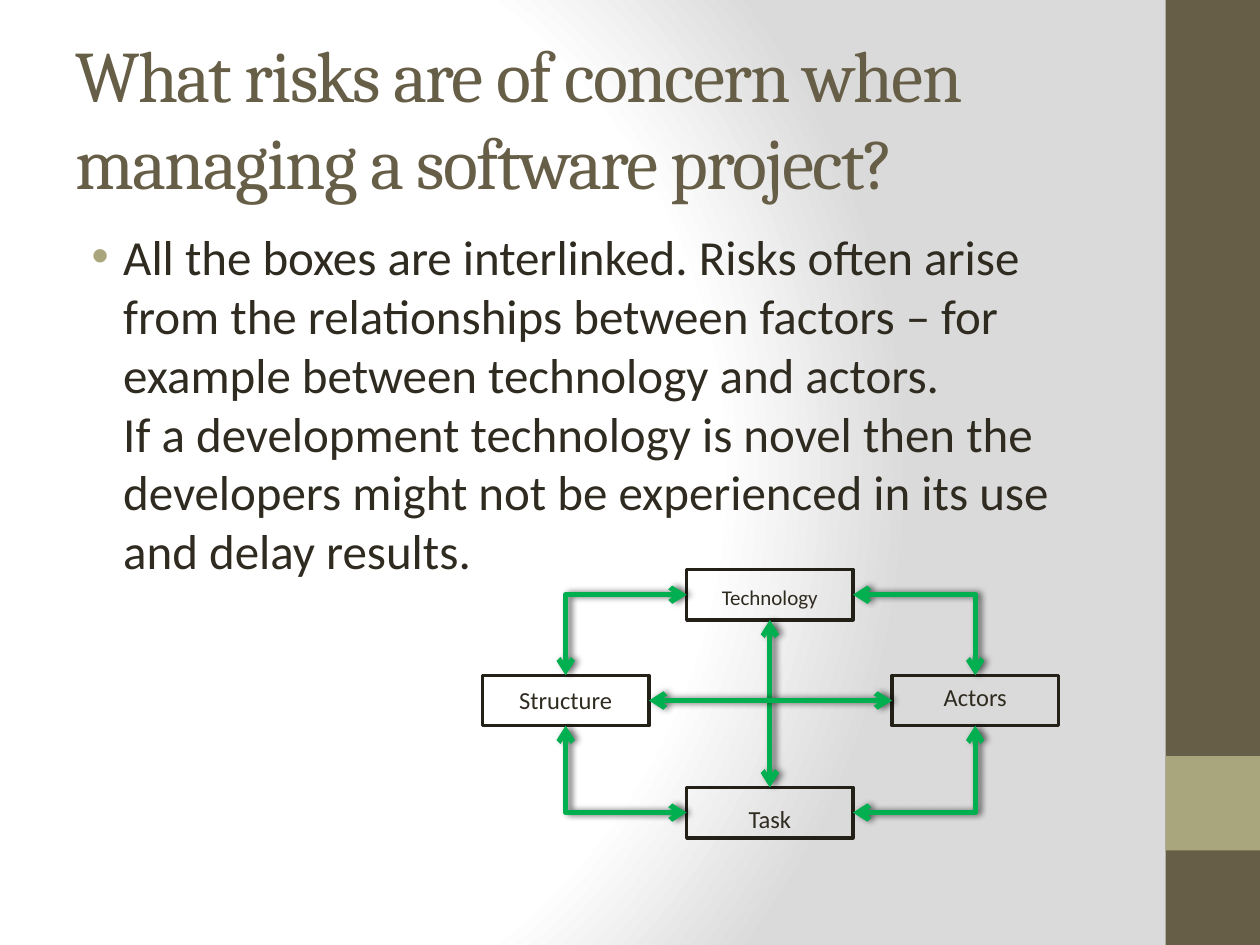
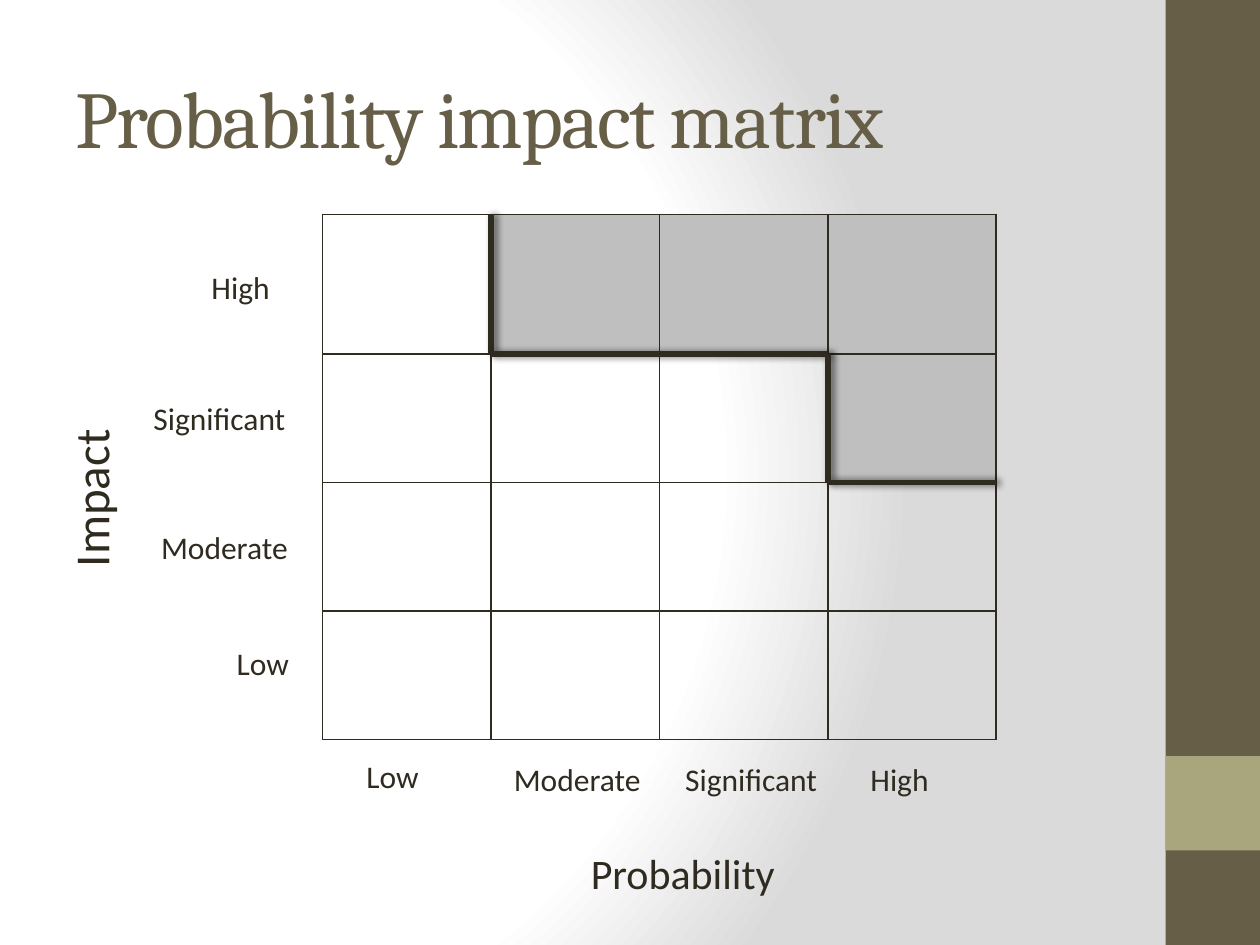
from itertools import accumulate, pairwise

from lxml import etree
from pptx import Presentation
from pptx.dml.color import RGBColor
from pptx.enum.shapes import MSO_CONNECTOR, MSO_SHAPE
from pptx.enum.text import MSO_ANCHOR, PP_ALIGN
from pptx.oxml.ns import nsdecls, qn
from pptx.util import Inches, Pt

STRAIGHT, ELBOW = MSO_CONNECTOR.STRAIGHT, MSO_CONNECTOR.ELBOW
RECTANGLE = MSO_SHAPE.RECTANGLE
TOP, MIDDLE = MSO_ANCHOR.TOP, MSO_ANCHOR.MIDDLE
LEFT, CENTER = PP_ALIGN.LEFT, PP_ALIGN.CENTER
TOP_SITE, LEFT_SITE, BOTTOM_SITE, RIGHT_SITE = range(4)

SLIDE_WIDTH, SLIDE_HEIGHT = Inches(10), Inches(7.5)
HEADING_FONT, BODY_FONT = "Cambria", "Calibri"
BROWN, OLIVE, INK = "675E47", "A9A57C", "2F2B20"
NODE_LINE, GREEN, HIGH_RISK = "232018", "00B050", "BFBFBF"
GRADIENT_STOPS = ((0, "FFFFFF"), (75, "FFFFFF"), (100, "DADADA"))

# All places and sizes below are percentages of the slide's width and height.
TITLE_AREA = (5, 4, 83.3, 16.67)
BODY_AREA = (5, 23.33, 83.3, 70)
NODE_WIDTH, NODE_HEIGHT, LABEL_HEIGHT = 13.2, 5.33, 4.53
MATRIX_LEFT, MATRIX_TOP = 25.6, 22.67
COLUMN_WIDTHS = [13.37] * 4
ROW_HEIGHTS = [14.8, 13.6, 13.6, 13.6]
FIRST_HIGH_RISK_COLUMNS = (1, 3, 4, 4)
RISK_BOUNDARY = ((1, 0), (1, 1), (3, 1), (3, 2), (4, 2))

# name: left, top, label width, label drop, text size
NODES = {
    "Task": (54.5, 83.33, 5.4, 1.07, 14),
    "Technology": (54.5, 60.27, 9.7, 0.93, 12),
    "Structure": (38.3, 71.47, 9.5, 0.4, 14),
    "Actors": (70.8, 71.47, 7.1, 0, 14),
}
LINKS = (
    (STRAIGHT, "Technology", BOTTOM_SITE, "Task", TOP_SITE),
    (STRAIGHT, "Structure", RIGHT_SITE, "Actors", LEFT_SITE),
    (ELBOW, "Technology", LEFT_SITE, "Structure", TOP_SITE),
    (ELBOW, "Task", LEFT_SITE, "Structure", BOTTOM_SITE),
    (ELBOW, "Task", RIGHT_SITE, "Actors", BOTTOM_SITE),
    (ELBOW, "Technology", RIGHT_SITE, "Actors", TOP_SITE),
)
SCALE_LABELS = (
    ("Low", (28.1, 79.47, 6.5, 5.33)),
    ("Moderate", (39.8, 79.73, 13.4, 5.33)),
    ("Significant", (53.4, 79.73, 14.7, 5.33)),
    ("High", (68.1, 79.73, 10.2, 5.33)),
    ("Low", (17.8, 67.47, 6.5, 5.33)),
    ("Moderate", (11.8, 55.2, 13.4, 5.33)),
    ("Significant", (11.2, 41.6, 14.7, 5.33)),
    ("High", (15.8, 27.73, 10.2, 5.33)),
)


def color(value):
    return RGBColor.from_string(value)


def across(percent):
    return round(SLIDE_WIDTH * percent / 100)


def down(percent):
    return round(SLIDE_HEIGHT * percent / 100)


def place(left, top, width, height):
    return across(left), down(top), across(width), down(height)


def add_xml(parent, xml):
    """Append a fragment whose outer tag is in the drawing namespace."""
    tag, rest = xml[:-2].split(" ", 1) if xml.endswith("/>") and xml.count("<") == 1 else (None, xml)
    if tag:
        element = etree.fromstring(f"{tag} {nsdecls('a')} {rest}/>")
    else:
        element = etree.fromstring(f"<a:x {nsdecls('a')}>{xml}</a:x>")[0]
    parent.append(element)
    return element


def set_background(master):
    fill = master.background.fill
    fill.solid()
    properties = master.element.find(".//" + qn("p:bgPr"))
    stops = "".join(f'<a:gs pos="{position * 1000}"><a:srgbClr val="{value}"/></a:gs>'
                    for position, value in GRADIENT_STOPS)
    gradient = add_xml(
        properties,
        f'<a:gradFill rotWithShape="1"><a:gsLst>{stops}</a:gsLst><a:path path="circle">'
        '<a:fillToRect l="20000" t="50000" r="100000" b="50000"/></a:path></a:gradFill>')
    properties.replace(properties.find(qn("a:solidFill")), gradient)


def add_rectangle(slide, area, fill=None, line=None):
    shape = slide.shapes.add_shape(RECTANGLE, *place(*area))
    shape.shadow.inherit = False
    if fill:
        shape.fill.solid()
        shape.fill.fore_color.rgb = color(fill)
    else:
        shape.fill.background()
    if line:
        shape.line.color.rgb = color(line)
        shape.line.width = Pt(2)
    else:
        shape.line.fill.background()
    return shape


def add_run(paragraph, text, size, font=BODY_FONT, fill=INK):
    run = paragraph.add_run()
    run.text = text
    run.font.size = Pt(size)
    run.font.name = font
    run.font.color.rgb = color(fill)
    return run


def add_text_area(slide, area, anchor=TOP, align=LEFT, wrap=True):
    """Add an empty text box and return its frame."""
    frame = slide.shapes.add_textbox(*place(*area)).text_frame
    frame.word_wrap = wrap
    frame.vertical_anchor = anchor
    frame.paragraphs[0].alignment = align
    return frame


def add_label(slide, text, area, size, **layout):
    frame = add_text_area(slide, area, **layout)
    add_run(frame.paragraphs[0], text, size)
    return frame


def add_title(slide, text, size):
    frame = add_text_area(slide, TITLE_AREA, anchor=MIDDLE)
    run = add_run(frame.paragraphs[0], text, size, HEADING_FONT, BROWN)
    run.font._element.set("spc", "-100")


def add_bullet(slide, lines, size):
    paragraph = add_text_area(slide, BODY_AREA).paragraphs[0]
    properties = paragraph._p.get_or_add_pPr()
    properties.set("marL", str(Inches(0.38)))
    properties.set("indent", str(Inches(-0.25)))
    add_xml(properties, f'<a:buClr><a:srgbClr val="{OLIVE}"/></a:buClr>')
    add_xml(properties, '<a:buFont typeface="Arial"/>')
    add_xml(properties, '<a:buChar char="•"/>')
    for index, line in enumerate(lines):
        if index:
            paragraph.add_line_break()
        add_run(paragraph, line, size)


def style_line(connector, stroke):
    """Give a connector a thick stroke and a soft shadow to its right."""
    connector.line.color.rgb = color(stroke)
    connector.line.width = Pt(3)
    add_xml(
        connector.element.spPr,
        f'<a:effectLst><a:outerShdw blurRad="{Pt(4)}" dist="{Pt(2)}" dir="0">'
        '<a:srgbClr val="000000"><a:alpha val="60000"/></a:srgbClr>'
        '</a:outerShdw></a:effectLst>')


def add_node(slide, name):
    left, top, label_width, drop, size = NODES[name]
    node = add_rectangle(slide, (left, top, NODE_WIDTH, NODE_HEIGHT), line=NODE_LINE)
    label_left = left + (NODE_WIDTH - label_width) / 2
    add_label(slide, name, (label_left, top + drop, label_width, LABEL_HEIGHT), size,
              align=CENTER, wrap=False)
    return node


def add_link(slide, kind, start, start_site, end, end_site):
    """Join two nodes with a double arrow; an elbow leaves its start sideways."""
    connector = slide.shapes.add_connector(kind, 0, 0, 0, 0)
    connector.begin_connect(start, start_site)
    connector.end_connect(end, end_site)
    if kind == ELBOW:
        connector.element.spPr.find(qn("a:prstGeom")).set("prst", "bentConnector2")
    style_line(connector, GREEN)
    line = connector.line._get_or_add_ln()
    add_xml(line, '<a:headEnd type="arrow"/>')
    add_xml(line, '<a:tailEnd type="arrow"/>')


def style_cell(cell, fill):
    properties = cell._tc.get_or_add_tcPr()
    for side in ("lnL", "lnR", "lnT", "lnB"):
        add_xml(properties, f'<a:{side} w="{Pt(1)}"><a:solidFill><a:srgbClr val="{INK}"/>'
                            f'</a:solidFill></a:{side}>')
    if fill:
        cell.fill.solid()
        cell.fill.fore_color.rgb = color(fill)
    else:
        cell.fill.background()


def add_matrix(slide):
    area = place(MATRIX_LEFT, MATRIX_TOP, sum(COLUMN_WIDTHS), sum(ROW_HEIGHTS))
    table = slide.shapes.add_table(len(ROW_HEIGHTS), len(COLUMN_WIDTHS), *area).table
    table.first_row = table.horz_banding = False
    for column, width in zip(table.columns, COLUMN_WIDTHS):
        column.width = across(width)
    for row, height, first_high in zip(table.rows, ROW_HEIGHTS, FIRST_HIGH_RISK_COLUMNS):
        row.height = down(height)
        for index, cell in enumerate(row.cells):
            style_cell(cell, HIGH_RISK if index >= first_high else None)


def add_risk_boundary(slide):
    column_edges = list(accumulate(COLUMN_WIDTHS, initial=MATRIX_LEFT))
    row_edges = list(accumulate(ROW_HEIGHTS, initial=MATRIX_TOP))
    corners = [(across(column_edges[column]), down(row_edges[row]))
               for column, row in RISK_BOUNDARY]
    for start, end in pairwise(corners):
        style_line(slide.shapes.add_connector(STRAIGHT, *start, *end), INK)


def add_slide(presentation, title, title_size):
    """Add a blank slide with the side bands and the title."""
    slide = presentation.slides.add_slide(presentation.slide_layouts[6])
    add_rectangle(slide, (92.5, 0, 7.5, 100), fill=BROWN)
    add_rectangle(slide, (92.5, 80, 7.5, 10), fill=OLIVE)
    add_title(slide, title, title_size)
    return slide


def build_risk_factors(presentation):
    slide = add_slide(
        presentation, "What risks are of concern when managing a software project?", 41.4)
    add_bullet(slide, (
        "All the boxes are interlinked. Risks often arise from the relationships between "
        "factors – for example between technology and actors. ",
        "If a development technology is novel then the developers might not be experienced "
        "in its use and delay results."), 28)
    nodes = {name: add_node(slide, name) for name in NODES}
    for kind, start, start_site, end, end_site in LINKS:
        add_link(slide, kind, nodes[start], start_site, nodes[end], end_site)


def build_probability_impact(presentation):
    slide = add_slide(presentation, "Probability impact matrix", 46)
    add_matrix(slide)
    for text, area in SCALE_LABELS:
        add_label(slide, text, area, 18)
    add_label(slide, "Probability", (45.9, 89.07, 19.1, 6.67), 24)
    impact = add_label(slide, "Impact", (4.3, 27.73, 6.7, 33.6), 28)
    impact._txBody.bodyPr.set("vert", "vert270")
    add_risk_boundary(slide)


def main():
    presentation = Presentation()
    presentation.slide_width, presentation.slide_height = SLIDE_WIDTH, SLIDE_HEIGHT
    set_background(presentation.slide_master)
    build_risk_factors(presentation)
    build_probability_impact(presentation)
    presentation.save("out.pptx")


if __name__ == "__main__":
    main()
